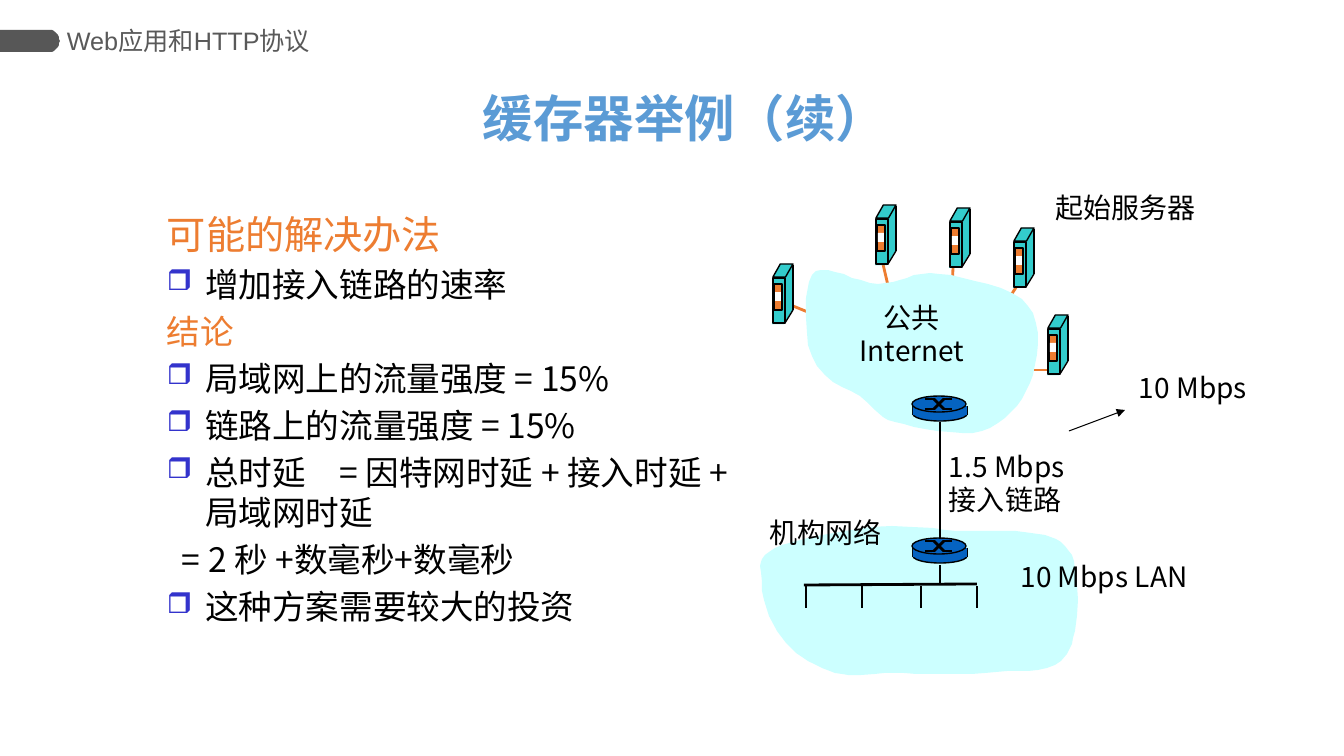
from math import cos, radians, sin

from lxml.etree import SubElement
from pptx import Presentation
from pptx.dml.color import RGBColor
from pptx.enum.shapes import MSO_CONNECTOR, MSO_SHAPE
from pptx.enum.text import MSO_ANCHOR, MSO_AUTO_SIZE, PP_ALIGN
from pptx.oxml.ns import qn
from pptx.util import Emu, Pt

SCALE = 914400 / 100.8
CJK = "Noto Sans CJK SC"
BLACK, ORANGE, TEAL, BLUE, CLOUD = "000000", "ED7D31", "33CCCC", "0563C1", "CCFFFF"


def px(length):
    return Emu(round(length * SCALE))


def color(code):
    return RGBColor.from_string(code)


class SlideBuilder:
    """Draw styled elements on one slide, with lengths in px."""

    def __init__(self, page):
        self.shapes = page.shapes

    def paint(self, shape, fill, outline=False):
        shape.shadow.inherit = False
        shape.fill.solid()
        shape.fill.fore_color.rgb = color(fill)
        if outline:
            shape.line.color.rgb = color(BLACK)
            shape.line.width = Pt(1)
        else:
            shape.line.fill.background()

    def shape(self, kind, left, top, width, height, fill, outline=False, adjust=None):
        shape = self.shapes.add_shape(kind, px(left), px(top), px(width), px(height))
        if adjust is not None:
            shape.adjustments[0] = adjust
        self.paint(shape, fill, outline)

    def outline(self, points, fill):
        builder = self.shapes.build_freeform(*points[0], scale=SCALE)
        builder.add_line_segments(points[1:], close=True)
        self.paint(builder.convert_to_shape(), fill)

    def line(self, x1, y1, x2, y2, code=BLACK, width=2, arrow=False):
        line = self.shapes.add_connector(MSO_CONNECTOR.STRAIGHT, px(x1), px(y1), px(x2), px(y2))
        line.line.color.rgb = color(code)
        line.line.width = Pt(width)
        properties = line._element.spPr
        if arrow:
            SubElement(properties.find(qn("a:ln")), qn("a:tailEnd"), type="triangle")
        SubElement(properties, qn("a:effectLst"))

    def box(self, left, top, width, height, wrap=True, grow=False, middle=False, inset=10):
        frame = self.shapes.add_textbox(px(left), px(top), px(width), px(height)).text_frame
        frame.word_wrap = wrap
        frame.auto_size = MSO_AUTO_SIZE.SHAPE_TO_FIT_TEXT if grow else MSO_AUTO_SIZE.NONE
        frame.vertical_anchor = MSO_ANCHOR.MIDDLE if middle else MSO_ANCHOR.TOP
        frame.margin_left = frame.margin_right = px(inset)
        frame.margin_top = frame.margin_bottom = px(5)
        return frame

    def para(self, frame, text, size, code=BLACK, face=CJK, align=PP_ALIGN.LEFT,
             bold=False, margin=0, indent=0, bullet=False):
        para = frame.paragraphs[0]
        if para.text:
            para = frame.add_paragraph()
        para.text = text
        para.alignment = align
        properties = para._p.get_or_add_pPr()
        properties.set("marL", str(px(margin)))
        properties.set("indent", str(px(indent)))
        if bullet:
            tint = SubElement(properties, qn("a:buClr"))
            SubElement(tint, qn("a:srgbClr"), val="3333CC")
            SubElement(properties, qn("a:buSzPct"), val="85000")
            SubElement(properties, qn("a:buChar"), char="❒")
        else:
            SubElement(properties, qn("a:buNone"))
        para.font.size = Pt(size)
        para.font.bold = bold
        para.font.name = face
        para.font.color.rgb = color(code)
        SubElement(properties.find(qn("a:defRPr")), qn("a:ea"), typeface=CJK)
        return para

    def label(self, lines, left, top, width, height, align=PP_ALIGN.CENTER, wrap=False):
        frame = self.box(left, top, width, height, wrap=wrap, grow=True)
        for text in lines:
            self.para(frame, text, 20, align=align)

    def server(self, x, y):
        slant, block = MSO_SHAPE.PARALLELOGRAM, MSO_SHAPE.RECTANGLE
        self.shape(slant, x, y + 46, 20, 14, TEAL, adjust=0.57)
        self.shape(block, x + 11, y + 1, 9, 46, TEAL)
        self.shape(block, x + 1, y + 14, 12, 45, TEAL, True)
        self.shape(slant, x + 1, y, 20, 13, TEAL, True, 0.57)
        self.line(x + 21, y + 1, x + 21, y + 46, width=1)
        self.line(x + 21, y + 46, x + 13, y + 59, width=1)
        self.shape(block, x + 2, y + 20, 8, 26, ORANGE, True)
        self.shape(block, x + 3, y + 28, 6, 9, "FFFFFF")

    def router(self, x, y):
        self.shape(MSO_SHAPE.OVAL, x + 1, y + 11, 54, 14, BLUE, True)
        for side in (x + 1, x + 55):
            self.line(side, y + 10, side, y + 19, width=1)
        self.shape(MSO_SHAPE.RECTANGLE, x + 1, y + 10, 54, 9, BLUE)
        self.shape(MSO_SHAPE.OVAL, x, y, 54, 16, BLUE, True)
        for start, end in ((3, 13), (13, 3)):
            self.line(x + 13, y + start, x + 23, y + start)
            self.line(x + 22, y + start, x + 32, y + end)
            self.line(x + 31, y + end, x + 40, y + end)


SOLUTION = [
    ("增加接入链路的速率", True), ("结论", False), ("局域网上的流量强度 = 15%", True),
    ("链路上的流量强度 = 15%", True), ("总时延　= 因特网时延 + 接入时延 + 局域网时延", True),
    ("= 2 秒 +数毫秒+数毫秒", False), ("这种方案需要较大的投资", True),
]
SERVERS = [
    ((772, 264), (793, 306, 825, 319)), ((875, 205), (883, 264, 890, 294)),
    ((949, 208), (953, 268, 952, 294)), ((1013, 228), (1017, 286, 1002, 309)),
    ((1047, 315), (1047, 370, 1020, 370)),
]
INTERNET = [
    (807, 332), (806, 317), (806, 298), (809, 282), (812, 275), (816, 271), (821, 270),
    (828, 270), (835, 272), (844, 274), (852, 278), (861, 280), (870, 283), (878, 284),
    (885, 283), (893, 282), (900, 280), (907, 278), (914, 275), (922, 274), (930, 273),
    (939, 274), (951, 275), (963, 278), (975, 281), (988, 284), (1001, 288), (1012, 293),
    (1022, 299), (1028, 306), (1033, 313), (1036, 323), (1038, 333), (1038, 344),
    (1037, 355), (1035, 365), (1033, 375), (1030, 383), (1026, 391), (1022, 399),
    (1017, 406), (1011, 412), (1005, 418), (998, 423), (990, 428), (982, 431), (973, 433),
    (962, 433), (950, 432), (937, 431), (925, 429), (914, 427), (904, 424), (895, 422),
    (888, 420), (883, 417), (875, 410), (868, 403), (860, 396), (851, 391), (842, 387),
    (833, 382), (825, 375), (817, 366), (812, 356), (808, 345),
]
INSTITUTION = [
    (762, 582), (761, 572), (760, 566), (761, 562), (762, 559), (765, 555), (769, 552),
    (775, 548), (782, 545), (793, 542), (804, 539), (817, 536), (845, 531), (858, 529),
    (870, 527), (892, 526), (912, 527), (933, 528), (945, 530), (957, 531), (1016, 531),
    (1031, 533), (1045, 535), (1056, 539), (1061, 542), (1065, 546), (1068, 550),
    (1072, 555), (1074, 561), (1075, 569), (1077, 584), (1078, 600), (1077, 616),
    (1075, 631), (1073, 638), (1072, 644), (1069, 650), (1067, 654), (1061, 661),
    (1055, 665), (1047, 668), (1038, 670), (1028, 671), (1007, 671), (996, 672), (985, 673),
    (972, 674), (916, 674), (904, 673), (884, 673), (875, 674), (861, 675), (848, 675),
    (842, 674), (835, 673), (822, 668), (808, 661), (796, 653), (786, 643), (777, 631),
    (769, 616), (764, 600), (762, 591),
]


def main():
    deck = Presentation()
    deck.slide_width, deck.slide_height = px(1344), px(756)
    slide = SlideBuilder(deck.slides.add_slide(deck.slide_layouts[6]))

    arc = [(48 + 11.5 * cos(radians(a)), 41 + 11.5 * sin(radians(a))) for a in range(-90, 91, 10)]
    slide.outline([(0, 29.5), *arc, (0, 52.5)], "575757")
    title = slide.box(256, 58, 857, 126, middle=True)
    heading = slide.para(title, "缓存器举例（续）", 36, "5B9BD5", "Arial", PP_ALIGN.CENTER, True)
    heading.line_spacing = 0.9

    body = slide.box(157, 205, 605, 416)
    slide.para(body, "可能的解决办法", 28, ORANGE, margin=38, indent=-38)
    for text, bullet in SOLUTION:
        equation = text.startswith("=")
        code = BLACK if bullet or equation else ORANGE
        margin, indent = (0, 15) if equation else (38, -38)
        para = slide.para(body, text, 24, code, margin=margin, indent=indent, bullet=bullet)
        para.space_before = Pt(4.8)

    for corner, link in SERVERS:
        slide.line(*link, ORANGE)
        slide.server(*corner)
    slide.label(["起始服务器"], 1044, 185, 162, 44, PP_ALIGN.RIGHT)
    slide.outline(INTERNET, CLOUD)
    slide.router(912, 396)
    slide.label(["公共", "Internet"], 844, 295, 136, 78)

    slide.outline(INSTITUTION, CLOUD)
    slide.line(804, 585, 977, 584)
    for x in (806, 862, 921, 977):
        slide.line(x, 586, x, 608)
    slide.router(912, 538)
    slide.line(940, 422, 940, 539)
    slide.line(940, 565, 940, 583)
    slide.label(["机构网络"], 759, 510, 133, 44)
    slide.label(["10 Mbps LAN"], 1001, 554, 206, 44)
    slide.label(["1.5 Mbps", "接入链路"], 939, 444, 154, 78, PP_ALIGN.LEFT)
    slide.line(1069, 431, 1125, 410, width=0.75, arrow=True)
    slide.label(["10 Mbps"], 1129, 365, 134, 78, PP_ALIGN.LEFT, True)

    header = slide.box(67, 19, 265, 42, middle=True, inset=0)
    slide.para(header, "Web应用和HTTP协议", 18, "595959", "Arial")
    deck.save("out.pptx")


if __name__ == "__main__":
    main()
